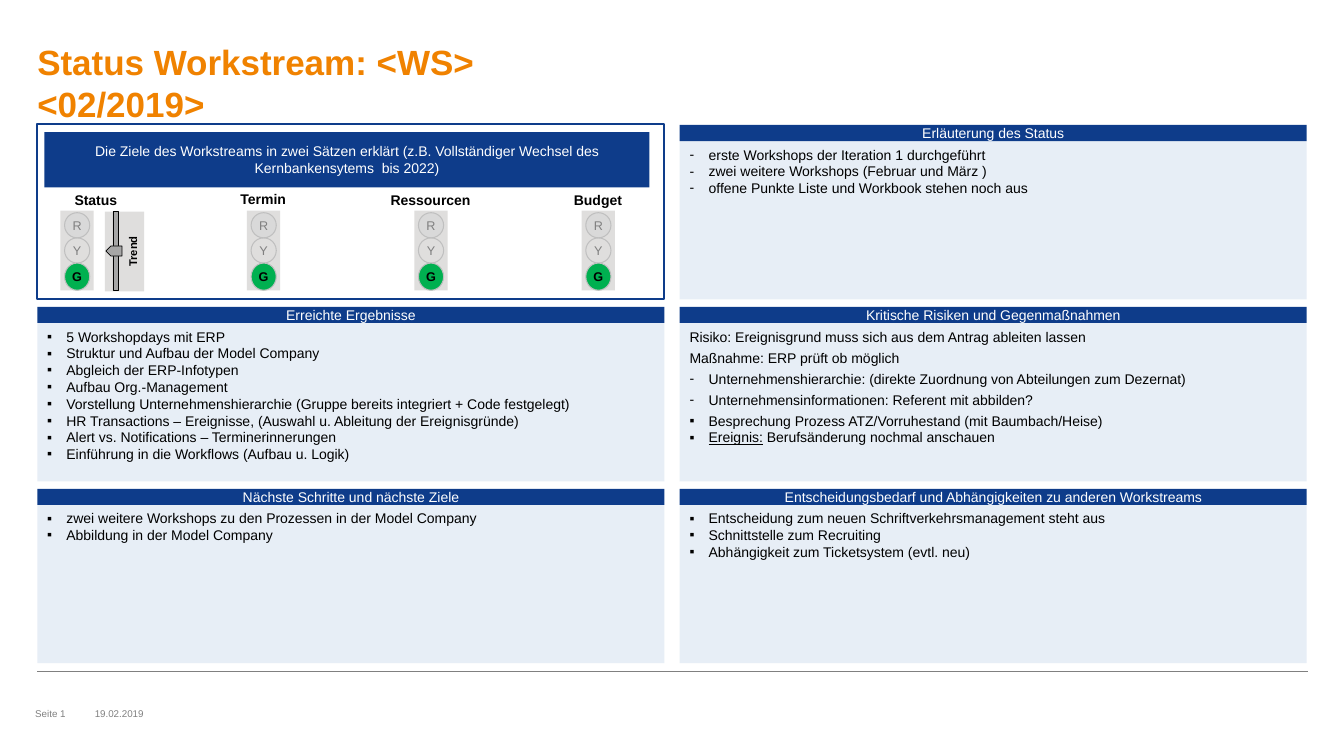
from lxml import etree
from pptx import Presentation, util as u
from pptx.dml.color import RGBColor
from pptx.enum import shapes, text
from pptx.oxml.ns import qn

HUE = dict(navy="0E3C8A", pale="E7EEF6", orange="F08200", white="FFFFFF", black="000000",
           grey="808080", box="DFDEDD", bar="A6A6A6", lamp="D9D9D9", rim="BFBFBF", green="00B050")
KIND = shapes.MSO_SHAPE
MID, LOW = text.MSO_ANCHOR.MIDDLE, text.MSO_ANCHOR.BOTTOM


def tint(name):
    return RGBColor.from_string(HUE[name])


def draw(home, kind, spot, fill=None, line=None, width=0.5):
    """Add a shape to a slide or group; a kind of None gives a text box without insets."""
    spot = [u.Inches(n) for n in spot]
    if kind is None:
        item = home.shapes.add_textbox(*spot)
        box = item.text_frame
        box.margin_left = box.margin_right = box.margin_top = box.margin_bottom = 0
        return item
    item = home.shapes.add_shape(kind, *spot)
    item.shadow.inherit = False
    if fill:
        item.fill.solid()
        item.fill.fore_color.rgb = tint(fill)
    else:
        item.fill.background()
    if line:
        item.line.color.rgb = tint(line)
        item.line.width = u.Pt(width)
    else:
        item.line.fill.background()
    return item


def write(item, words, size=10, color="black", bold=False, center=False,
          anchor=text.MSO_ANCHOR.TOP, wrap=True, mark=None, after=0, under=""):
    """Append one paragraph; mark is its bullet, under an underlined lead-in."""
    box = item.text_frame
    box.word_wrap, box.vertical_anchor = wrap, anchor
    par = box.paragraphs[0] if not box.text else box.add_paragraph()
    par.alignment = text.PP_ALIGN.CENTER if center else text.PP_ALIGN.LEFT
    par.space_after = u.Pt(after)
    if mark:
        props = par._p.get_or_add_pPr()
        props.set("marL", str(u.Inches(0.19)))
        props.set("indent", str(-u.Inches(0.19)))
        etree.SubElement(props, qn("a:buFont")).set("typeface", "Arial")
        etree.SubElement(props, qn("a:buChar")).set("char", mark)
    for n, line in enumerate(words.split("\n")):
        if n:
            par.add_line_break()
        for part in filter(None, (under, line)):
            run = par.add_run()
            run.text = part
            font = run.font
            font.name, font.size, font.bold = "Arial", u.Pt(size), bold
            font.color.rgb = tint(color)
            if part == under:
                font.underline = True


deck = Presentation()
deck.slide_width, deck.slide_height = u.Inches(13.33), u.Inches(7.5)
page = deck.slides.add_slide(deck.slide_layouts[6])

# Grid of panels: two columns, three rows
LEFT, WIDE, GAP = 0.37, 6.22, 0.15
TOP, STEP, HEAD, BODY = 1.24, 1.805, 0.16, 1.57
COLS = [LEFT, LEFT + WIDE + GAP]

# Title, footer and rule
write(draw(page, None, (LEFT, 0.4, 12.6, 1.02)), "Status Workstream: <WS>\n<02/2019>",
      size=25, color="orange", bold=True)
for words, x in (("Seite 1", 0.35), ("19.02.2019", 0.94)):
    write(draw(page, None, (x, 7, 0.6, 0.16)), words, size=7, color="grey", anchor=MID)
rule = page.shapes.add_connector(shapes.MSO_CONNECTOR.STRAIGHT, u.Inches(LEFT), u.Inches(6.66),
                                 u.Inches(12.97), u.Inches(6.66))
rule.line.color.rgb, rule.line.width = tint("grey"), u.Pt(0.5)
etree.SubElement(rule._element.spPr, qn("a:effectLst"))

# Panels: column, row, heading, lines of (bullet, words, space after, underlined lead-in)
DASH, DOT = "-", "▪"
PANELS = [
    (1, 0, "Erläuterung des Status", [
        (DASH, "erste Workshops der Iteration 1 durchgeführt"),
        (DASH, "zwei weitere Workshops (Februar und März )"),
        (DASH, "offene Punkte Liste und Workbook stehen noch aus")]),
    (0, 1, "Erreichte Ergebnisse", [
        (DOT, "5 Workshopdays mit ERP"),
        (DOT, "Struktur und Aufbau der Model Company"),
        (DOT, "Abgleich der ERP-Infotypen"),
        (DOT, "Aufbau Org.-Management"),
        (DOT, "Vorstellung Unternehmenshierarchie (Gruppe bereits integriert + Code festgelegt)"),
        (DOT, "HR Transactions – Ereignisse, (Auswahl u. Ableitung der Ereignisgründe)"),
        (DOT, "Alert vs. Notifications – Terminerinnerungen"),
        (DOT, "Einführung in die Workflows (Aufbau u. Logik)")]),
    (1, 1, "Kritische Risiken und Gegenmaßnahmen", [
        (None, "Risiko: Ereignisgrund muss sich aus dem Antrag ableiten lassen", 3),
        (None, "Maßnahme: ERP prüft ob möglich", 3),
        (DASH, "Unternehmenshierarchie: (direkte Zuordnung von Abteilungen zum Dezernat)", 3),
        (DASH, "Unternehmensinformationen: Referent mit abbilden?", 3),
        (DOT, "Besprechung Prozess ATZ/Vorruhestand (mit Baumbach/Heise)"),
        (DOT, " Berufsänderung nochmal anschauen", 0, "Ereignis:")]),
    (0, 2, "Nächste Schritte und nächste Ziele", [
        (DOT, "zwei weitere Workshops zu den Prozessen in der Model Company"),
        (DOT, "Abbildung in der Model Company")]),
    (1, 2, "Entscheidungsbedarf und Abhängigkeiten zu anderen Workstreams", [
        (DOT, "Entscheidung zum neuen Schriftverkehrsmanagement steht aus"),
        (DOT, "Schnittstelle zum Recruiting"),
        (DOT, "Abhängigkeit zum Ticketsystem (evtl. neu)")]),
]
for col, row, title, lines in PANELS:
    x, y = COLS[col], TOP + row * STEP
    body = draw(page, KIND.RECTANGLE, (x, y + HEAD, WIDE, BODY), "pale")
    for mark, words, *more in lines:
        after, under = (more + [0, ""][len(more):])
        write(body, words, mark=mark, after=after, under=under)
    head = draw(page, KIND.RECTANGLE, (x, y, WIDE, HEAD), "navy")
    write(head, title, color="white", center=True, anchor=MID)

# Status frame with the goal
draw(page, KIND.RECTANGLE, (LEFT, 1.23, WIDE, 1.74), "white", "navy", 1.5)
goal = draw(page, KIND.RECTANGLE, (0.44, 1.31, 6, 0.55), "navy")
write(goal, "Die Ziele des Workstreams in zwei Sätzen erklärt "
      "(z.B. Vollständiger Wechsel des Kernbankensytems  bis 2022)",
      color="white", center=True, anchor=MID)

# Trend slider
trend = draw(page, KIND.RECTANGLE, (1.04, 2.1, 0.39, 0.79), "box")
write(trend, "Trend", size=8, bold=True, center=True, anchor=LOW, wrap=False)
trend.text_frame._txBody.bodyPr.set("vert", "vert270")
draw(page, KIND.RECTANGLE, (1.12, 2.1, 0.05, 0.78), "bar", "black")
knob = draw(page, KIND.PENTAGON, (1.05, 2.44, 0.16, 0.1), "bar", "black")
knob._element.spPr.get_or_add_xfrm().set("flipH", "1")

# Traffic lights: label, label top, offset of the light from its label
LIGHTS = [("Status", 1.89, 0.16), ("Termin", 1.88, 0.35),
          ("Ressourcen", 1.89, 0.35), ("Budget", 1.89, 0.35)]
LAMPS = [("R", 0.25, "lamp", "grey"), ("Y", 0.25, None, "grey"), ("G", 0.27, "green", "black")]
for n, (name, y, shift) in enumerate(LIGHTS):
    x = 0.44 + n * 1.66
    label = draw(page, KIND.RECTANGLE, (x, y, 1.02, 0.18), "white")
    write(label, name, bold=True, center=True, anchor=MID)
    light = page.shapes.add_group_shape()
    draw(light, KIND.RECTANGLE, (x + shift, 2.09, 0.33, 0.79), "box")
    for k, (sign, tall, fill, color) in enumerate(LAMPS):
        lamp = draw(light, KIND.OVAL, (x + shift + 0.04, 2.11 + k * 0.25, 0.25, tall),
                    fill, "rim", 0.75)
        write(lamp, sign, size=9, color=color, bold=sign == "G",
              center=True, anchor=MID, wrap=False)

deck.save("out.pptx")
